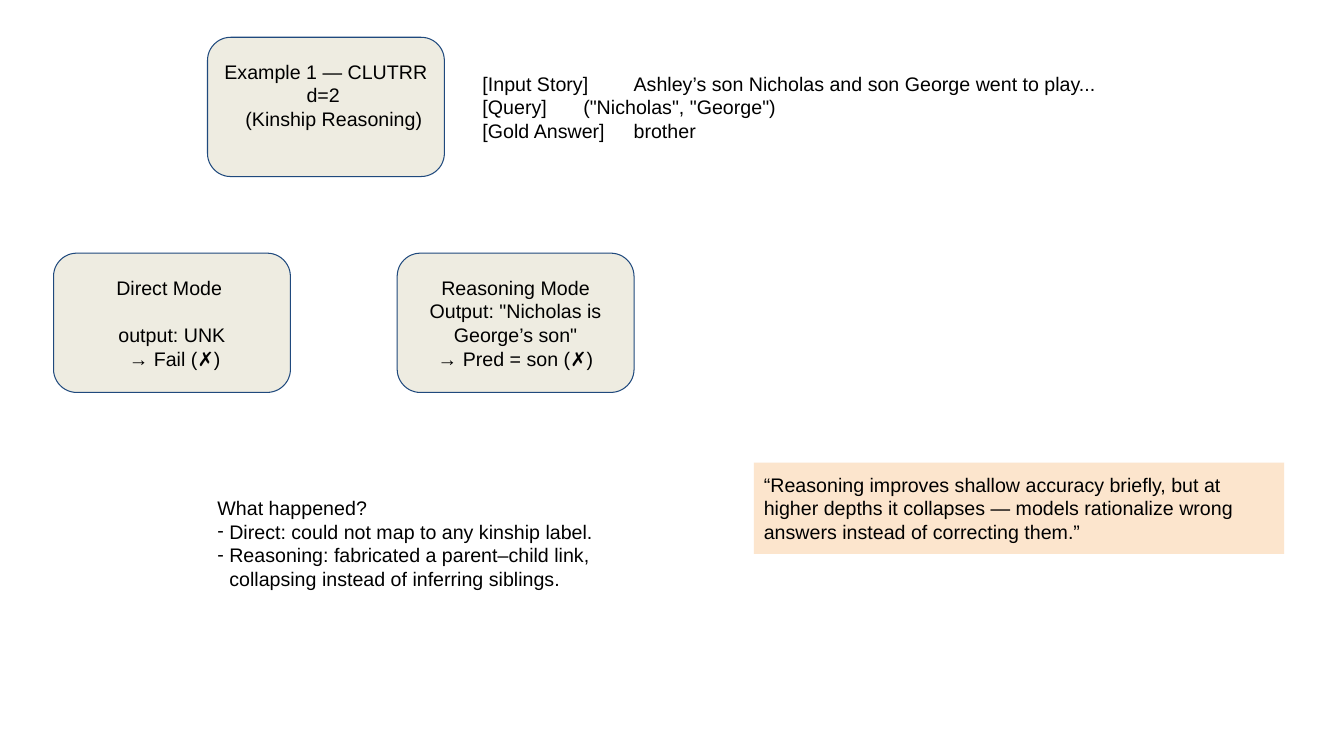
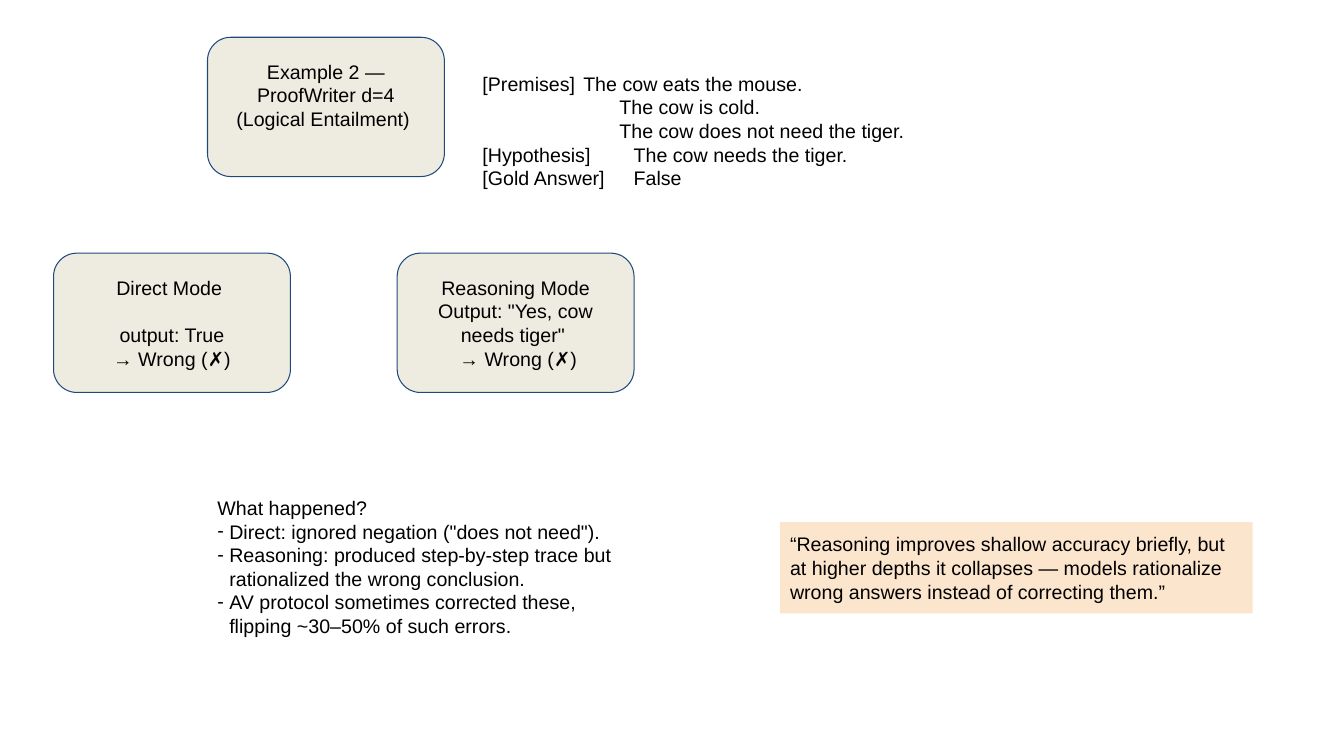
from dataclasses import dataclass

from lxml.etree import SubElement
from pptx import Presentation
from pptx.dml.color import RGBColor
from pptx.enum.shapes import MSO_SHAPE
from pptx.enum.text import MSO_ANCHOR, MSO_AUTO_SIZE, PP_ALIGN
from pptx.oxml.ns import qn
from pptx.util import Cm, Pt

BLACK = RGBColor(0x00, 0x00, 0x00)
CARD_FILL = RGBColor(0xEE, 0xEC, 0xE1)
CARD_LINE = RGBColor(0x1F, 0x49, 0x7D)
QUOTE_FILL = RGBColor(0xFC, 0xE5, 0xCD)

FONT_NAME = "Arial"
LINE_HEIGHT = Pt(16.9)
INSET = Cm(0.25)
BULLET_INDENT = 0.3
CARD_WIDTH, CARD_HEIGHT = 5.97, 3.51
QUOTE = (
    "“Reasoning improves shallow accuracy briefly, but at higher depths it "
    "collapses — models rationalize wrong answers instead of correcting them.”"
)


@dataclass
class Line:
    text: str
    indent: float = 0
    tab: float = 0
    bullet: str = ""
    gap_before: bool = False


EXAMPLES = [
    {
        "title": [
            Line("Example 1 — CLUTRR d=2 "),
            Line("(Kinship Reasoning)", indent=0.4),
        ],
        "task": [
            Line("[Input Story]\tAshley’s son Nicholas and son George went to play...", tab=3.05),
            Line('[Query]\t("Nicholas", "George")', tab=2.87),
            Line("[Gold Answer]\tbrother", tab=3.5),
        ],
        "task_height": 2.3,
        "direct": [
            Line("Direct Mode "),
            Line("output: UNK", gap_before=True),
            Line(" → Fail (✗)"),
        ],
        "reasoning": [
            Line("Reasoning Mode"),
            Line('Output: "Nicholas is\vGeorge’s son"'),
            Line("→ Pred = son (✗)"),
        ],
        "findings": [
            Line("What happened?"),
            Line("Direct: could not map to any kinship label.", bullet="-"),
            Line(
                "Reasoning: fabricated a parent–child link,\v"
                "collapsing instead of inferring siblings.",
                bullet="-",
            ),
        ],
        "findings_height": 2.9,
        "quote_place": (19, 11.66, 13.36, 2.3),
    },
    {
        "title": [
            Line("Example 2 — ProofWriter d=4"),
            Line("(Logical Entailment) "),
        ],
        "task": [
            Line("[Premises]\tThe cow eats the mouse.", tab=3.15),
            Line("The cow is cold.", indent=3.45),
            Line("The cow does not need the tiger.", indent=3.45),
            Line("[Hypothesis]\tThe cow needs the tiger.", tab=3.27),
            Line("[Gold Answer]\tFalse", tab=3.5),
        ],
        "task_height": 4.11,
        "direct": [
            Line("Direct Mode "),
            Line("output: True", gap_before=True),
            Line(" → Wrong (✗) "),
        ],
        "reasoning": [
            Line("Reasoning Mode"),
            Line('Output: "Yes, cow\vneeds tiger" '),
            Line(" → Wrong (✗)"),
        ],
        "findings": [
            Line("What happened?"),
            Line('Direct: ignored negation ("does not need").', bullet="-"),
            Line(
                "Reasoning: produced step-by-step trace but\v"
                "rationalized the wrong conclusion.",
                bullet="-",
            ),
            Line(
                "AV protocol sometimes corrected these,\v"
                "flipping ~30–50% of such errors.",
                bullet="-",
            ),
        ],
        "findings_height": 4.7,
        "quote_place": (19.66, 13.16, 11.91, 2.3),
    },
]


def set_attributes(target, values):
    for name, value in values.items():
        setattr(target, name, value)


def add_indents(paragraph, line):
    properties = paragraph._p.get_or_add_pPr()
    left = line.indent or (BULLET_INDENT if line.bullet else 0)
    properties.set("marL", str(Cm(left)))
    properties.set("indent", str(-Cm(BULLET_INDENT) if line.bullet else 0))
    if line.bullet:
        SubElement(properties, qn("a:buFont"), typeface=FONT_NAME)
        SubElement(properties, qn("a:buChar"), char=line.bullet)
    else:
        SubElement(properties, qn("a:buNone"))
    if line.tab:
        tabs = SubElement(properties, qn("a:tabLst"))
        SubElement(tabs, qn("a:tab"), pos=str(Cm(line.tab)), algn="l")


def write_lines(shape, lines, alignment, **frame_format):
    frame = shape.text_frame
    margins = {f"margin_{side}": INSET for side in ("left", "top", "right", "bottom")}
    set_attributes(frame, {"word_wrap": True, **margins, **frame_format})
    for index, line in enumerate(lines):
        paragraph = frame.add_paragraph() if index else frame.paragraphs[0]
        paragraph.text = line.text
        add_indents(paragraph, line)
        set_attributes(paragraph, {
            "alignment": alignment,
            "line_spacing": LINE_HEIGHT,
            "space_before": LINE_HEIGHT if line.gap_before else Pt(0),
        })
        for run in paragraph.runs:
            set_attributes(run.font, {"name": FONT_NAME, "size": Pt(14)})
            run.font.color.rgb = BLACK


def add_filled_shape(slide, kind, place, fill):
    shape = slide.shapes.add_shape(kind, *map(Cm, place))
    shape.shadow.inherit = False
    shape.fill.solid()
    shape.fill.fore_color.rgb = fill
    return shape


def add_card(slide, left, top, lines, **frame_format):
    place = (left, top, CARD_WIDTH, CARD_HEIGHT)
    card = add_filled_shape(slide, MSO_SHAPE.ROUNDED_RECTANGLE, place, CARD_FILL)
    card.line.color.rgb = CARD_LINE
    card.line.width = Pt(0.75)
    write_lines(card, lines, PP_ALIGN.CENTER,
                vertical_anchor=MSO_ANCHOR.MIDDLE, **frame_format)


def write_note(shape, lines):
    write_lines(shape, lines, PP_ALIGN.LEFT, vertical_anchor=MSO_ANCHOR.TOP,
                auto_size=MSO_AUTO_SIZE.SHAPE_TO_FIT_TEXT)


def add_note(slide, place, lines):
    write_note(slide.shapes.add_textbox(*map(Cm, place)), lines)


def add_quote(slide, place):
    quote = add_filled_shape(slide, MSO_SHAPE.RECTANGLE, place, QUOTE_FILL)
    quote.line.fill.background()
    write_note(quote, [Line(QUOTE)])


def add_example(presentation, example):
    slide = presentation.slides.add_slide(presentation.slide_layouts[6])
    add_card(slide, 5.23, 0.94, example["title"], margin_bottom=INSET + LINE_HEIGHT)
    add_note(slide, (11.91, 1.55, 18.54, example["task_height"]), example["task"])
    add_card(slide, 1.35, 6.38, example["direct"])
    add_card(slide, 10.01, 6.38, example["reasoning"])
    add_note(slide, (5.23, 12.24, 12.98, example["findings_height"]), example["findings"])
    add_quote(slide, example["quote_place"])


def main():
    presentation = Presentation()
    set_attributes(presentation, {"slide_width": Cm(33.87), "slide_height": Cm(19.05)})
    for example in EXAMPLES:
        add_example(presentation, example)
    presentation.save("out.pptx")


if __name__ == "__main__":
    main()
